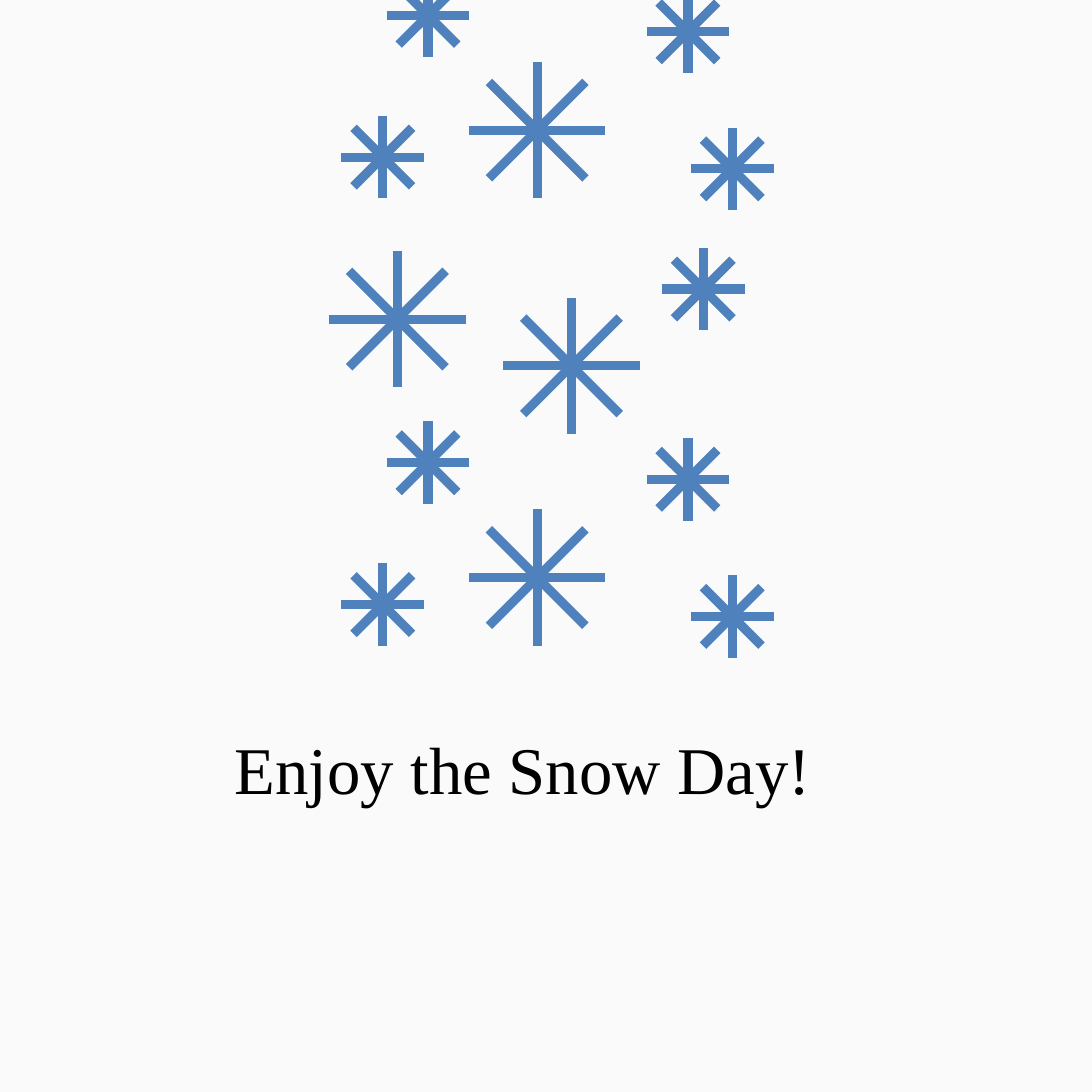
from math import cos, pi, sin

from lxml.etree import SubElement
from pptx import Presentation
from pptx.dml.color import RGBColor
from pptx.enum.shapes import MSO_CONNECTOR
from pptx.enum.text import MSO_ANCHOR, MSO_AUTO_SIZE, PP_ALIGN
from pptx.oxml.ns import qn
from pptx.util import Pt

PAPER = RGBColor(0xFA, 0xFA, 0xFB)
BLUE = RGBColor(0x4F, 0x81, 0xBD)
BLACK = RGBColor(0, 0, 0)

SIDE = 720
BIG, SMALL = 45, 27.3  # arm lengths
DROP = 295  # from the upper cluster to the lower one

# Centre x, centre y, arm length
CLUSTER = [
    (354.2, 85.8, BIG),
    (252.4, 103.6, SMALL),
    (282.2, 10.1, SMALL),
    (453.6, 21, SMALL),
    (482.8, 111.4, SMALL),
]
MIDDLE = [
    (262, 210.4, BIG),
    (376.8, 241.2, BIG),
    (463.7, 190.6, SMALL),
]


def add_line(shapes, start, end, color=BLUE, width=6):
    """Draw a straight line without a shadow."""
    ends = [Pt(n) for n in (*start, *end)]
    line = shapes.add_connector(MSO_CONNECTOR.STRAIGHT, *ends)
    line.line.color.rgb = color
    line.line.width = Pt(width)
    SubElement(line._element.spPr, qn("a:effectLst"))


def add_flake(shapes, x, y, arm):
    """Draw a snowflake of four lines that cross at its centre."""
    flake = shapes.add_group_shape().shapes
    for step in range(4):
        dx, dy = arm * cos(step * pi / 4), arm * sin(step * pi / 4)
        add_line(flake, (x - dx, y - dy), (x + dx, y + dy))


def set_text(shape, text, font="Times New Roman", size=44, color=BLACK,
             align=PP_ALIGN.LEFT, anchor=MSO_ANCHOR.TOP):
    """Fill a shape with formatted text."""
    frame = shape.text_frame
    frame.text = text
    frame.word_wrap = True
    frame.auto_size = MSO_AUTO_SIZE.NONE
    frame.vertical_anchor = anchor
    para = frame.paragraphs[0]
    para.alignment = align
    face = para.runs[0].font
    face.name, face.size = font, Pt(size)
    face.color.rgb = color


def set_title(slide, text, left, top, width, height):
    """Place the title and write the greeting in it."""
    title = slide.shapes.title
    title.left, title.top = Pt(left), Pt(top)
    title.width, title.height = Pt(width), Pt(height)
    set_text(title, text)


def main():
    """Build the snow day card."""
    deck = Presentation()
    deck.slide_width = deck.slide_height = Pt(SIDE)
    slide = deck.slides.add_slide(deck.slide_layouts[5])
    back = slide.background.fill
    back.solid()
    back.fore_color.rgb = PAPER

    lower = [(x, y + DROP, arm) for x, y, arm in CLUSTER]
    for flake in CLUSTER + MIDDLE + lower:
        add_flake(slide.shapes, *flake)
    set_title(slide, "Enjoy the Snow Day!", 147.6, 476, 424.8, 60.5)
    deck.save("out.pptx")


main()
